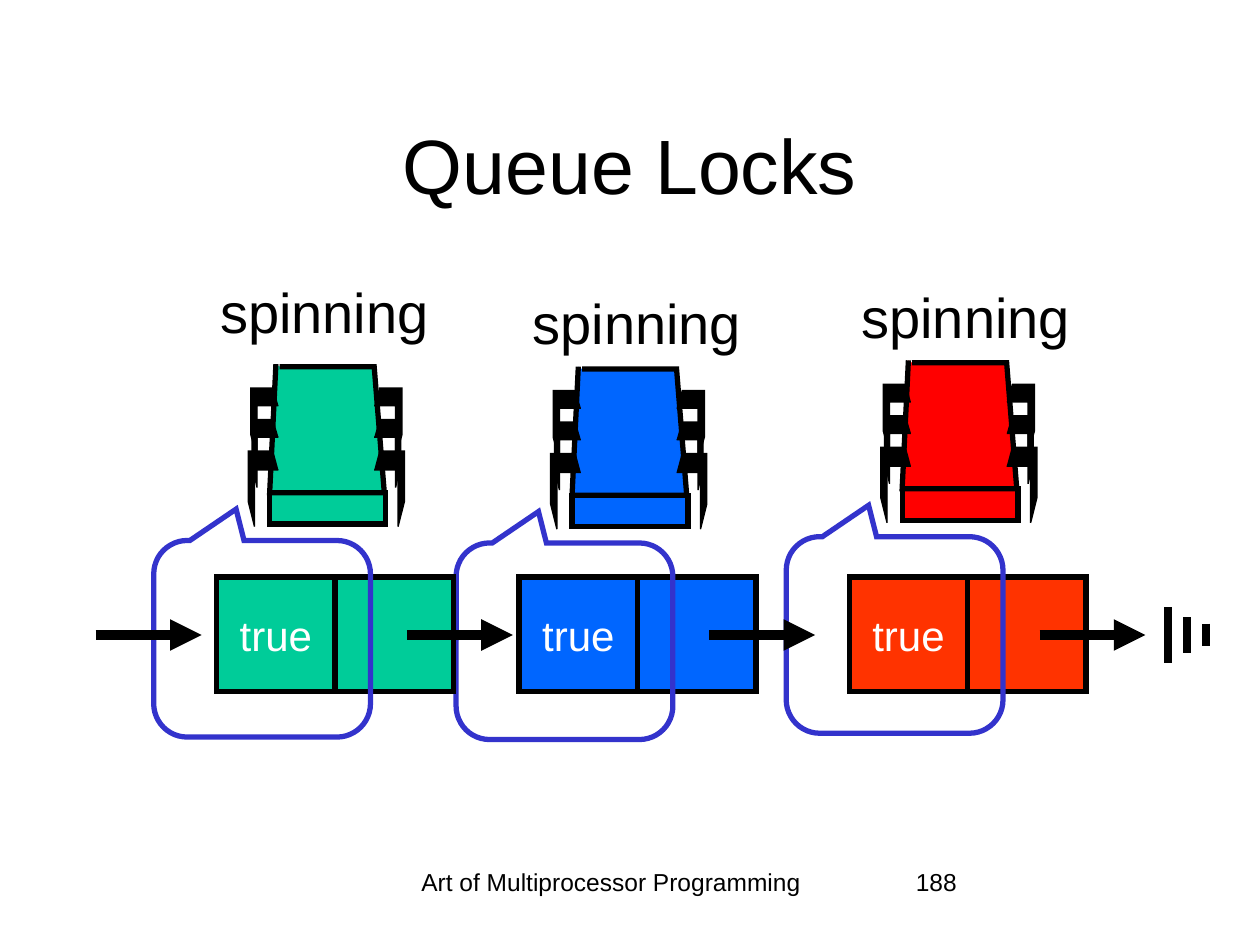
import pptx
import pptx.util
import pptx.dml.color
import pptx.enum.shapes
import pptx.enum.text
import pptx.oxml
import pptx.oxml.ns

SHAPE = pptx.enum.shapes.MSO_SHAPE
ANCHOR = pptx.enum.text.MSO_ANCHOR
ALIGN = pptx.enum.text.PP_ALIGN
FIT = pptx.enum.text.MSO_AUTO_SIZE
BLACK, WHITE, CALLOUT = "000000", "FFFFFF", "3333CC"
COLUMNS, ROWS = 10, 7.5

BODY = [(-0.37, 0.02), (0.38, 0.02), (0.46, 1.02), (-0.45, 1.02), (-0.40, 0)]
LEGS = [
    [(0.42, 0.69), (0.62, 0.69), (0.62, 1.09), (0.57, 1.29), (0.57, 0.84), (0.38, 0.84)],
    [(0.42, 0.44), (0.59, 0.44), (0.59, 0.80), (0.55, 0.98), (0.55, 0.58), (0.38, 0.58)],
    [(0.42, 0.19), (0.60, 0.19), (0.60, 0.56), (0.55, 0.74), (0.55, 0.33), (0.38, 0.33)],
]
CELL_W, CELL_H, CELL_Y, ARROW_Y = 0.94, 0.91, 4.58, 5.04


def color(value):
    return pptx.dml.color.RGBColor.from_string(value)


class Deck:
    """Style and current slide, with lengths in grid columns and rows."""

    def __init__(self, font="Arial"):
        self.prs = pptx.Presentation()
        self.prs.slide_width = pptx.util.Inches(10)
        self.prs.slide_height = pptx.util.Inches(7.5)
        self.font = font
        self.s = self.prs.slides.add_slide(self.prs.slide_layouts[6])

    def x(self, columns):
        return round(self.prs.slide_width * columns / COLUMNS)

    def y(self, rows):
        return round(self.prs.slide_height * rows / ROWS)

    def box(self, left, top, width, height):
        return self.x(left), self.y(top), self.x(width), self.y(height)

    def group(self):
        return self.s.shapes.add_group_shape()

    def label(self, sp, text, size, fill, align, anchor, wrap):
        tf = sp.text_frame
        tf.word_wrap = wrap
        tf.vertical_anchor = anchor
        p = tf.paragraphs[0]
        p.text = text
        p.alignment = align
        p.font.name = self.font
        p.font.size = pptx.util.Pt(size)
        p.font.color.rgb = color(fill)

    def text(self, box, text, size, align=ALIGN.CENTER, anchor=ANCHOR.TOP, wrap=True):
        sp = self.s.shapes.add_textbox(*self.box(*box))
        self.label(sp, text, size, BLACK, align, anchor, wrap)
        if not wrap:
            sp.text_frame.auto_size = FIT.SHAPE_TO_FIT_TEXT

    def paint(self, sp, fill, line, width):
        sp.shadow.inherit = False
        if fill:
            sp.fill.solid()
            sp.fill.fore_color.rgb = color(fill)
        else:
            sp.fill.background()
        sp.line.color.rgb = color(line)
        sp.line.width = pptx.util.Pt(width)
        ns = pptx.oxml.ns.nsdecls("a")
        ln = sp._element.spPr.find(pptx.oxml.ns.qn("a:ln"))
        ln.append(pptx.oxml.parse_xml(f'<a:miter {ns} lim="800000"/>'))

    def shape(self, kind, box, fill=None, line=BLACK, parent=None):
        sp = (parent or self.s).shapes.add_shape(kind, *self.box(*box))
        self.paint(sp, fill, line, 3)
        return sp

    def outline(self, parent, points, fill, width):
        points = [(self.x(px), self.y(py)) for px, py in points]
        builder = parent.shapes.build_freeform(*points[0])
        builder.add_line_segments(points[1:], close=False)
        self.paint(builder.convert_to_shape(), fill, BLACK, width)

    def line(self, start, end, width, arrow=False, parent=None):
        ends = self.x(start[0]), self.y(start[1]), self.x(end[0]), self.y(end[1])
        straight = pptx.enum.shapes.MSO_CONNECTOR.STRAIGHT
        sp = (parent or self.s).shapes.add_connector(straight, *ends)
        sp.line.color.rgb = color(BLACK)
        sp.line.width = pptx.util.Pt(width)
        ns = pptx.oxml.ns.nsdecls("a")
        spPr = sp._element.spPr
        if arrow:
            spPr.find(pptx.oxml.ns.qn("a:ln")).append(
                pptx.oxml.parse_xml(f'<a:tailEnd {ns} type="triangle"/>'))
        spPr.append(pptx.oxml.parse_xml(f"<a:effectLst {ns}/>"))

    def arrow(self, left):
        self.line((left, ARROW_Y), (left + 0.84, ARROW_Y), 6, arrow=True)

    def thread(self, center, top, fill):
        group = self.group()
        self.shape(SHAPE.RECTANGLE, (center - 0.45, top + 1.02, 0.92, 0.25), fill, parent=group)
        self.outline(group, [(center + dx, top + dy) for dx, dy in BODY], fill, 3)
        for side in (1, -1):
            for leg in LEGS:
                points = [(center + side * dx, top + dy) for dx, dy in leg]
                self.outline(group, points, BLACK, 0.75)

    def node(self, left, fill):
        for i, text in enumerate(("true", "")):
            box = (left + i * CELL_W, CELL_Y, CELL_W, CELL_H)
            sp = self.shape(SHAPE.RECTANGLE, box, fill)
            if text:
                self.label(sp, text, 24, WHITE, ALIGN.CENTER, ANCHOR.MIDDLE, False)

    def callout(self, left, top):
        sp = self.shape(SHAPE.ROUNDED_RECTANGULAR_CALLOUT, (left, top, 1.72, 1.56), line=CALLOUT)
        for i, value in enumerate((-0.12, -0.66, 0.17)):
            sp.adjustments[i] = value

    def ground(self, left):
        group = self.group()
        for i, half in enumerate((0.22, 0.14, 0.09)):
            x = left + 0.15 * i
            self.line((x, ARROW_Y - half), (x, ARROW_Y + half), 4.5, parent=group)


def main():
    deck = Deck()
    deck.text((2.89, 6.83, 3.92, 0.5), "Art of Multiprocessor Programming", 14)
    deck.text((7.17, 6.83, 2.08, 0.5), "188", 14, align=ALIGN.LEFT)
    deck.text((0.75, 0.67, 8.5, 1.25), "Queue Locks", 44, anchor=ANCHOR.MIDDLE)
    threads = [
        (6.74, 2.86, "FF0000", "FF3300", (6.73, 2.19)),
        (4.12, 2.91, "0066FF", "0066FF", (4.12, 2.24)),
        (1.72, 2.89, "00CC99", "00CC99", (1.64, 2.15)),
    ]
    for left, top, thread_fill, node_fill, caption in threads:
        deck.thread(left + 0.87, top, thread_fill)
        deck.text((*caption, 1.87, 0.64), "spinning", 32, wrap=False)
        deck.node(left, node_fill)
        deck.arrow(left + 1.51)
        deck.callout(left - 0.5, top + 1.4)
    deck.arrow(0.76)
    deck.ground(9.27)
    deck.prs.save("out.pptx")


if __name__ == "__main__":
    main()
